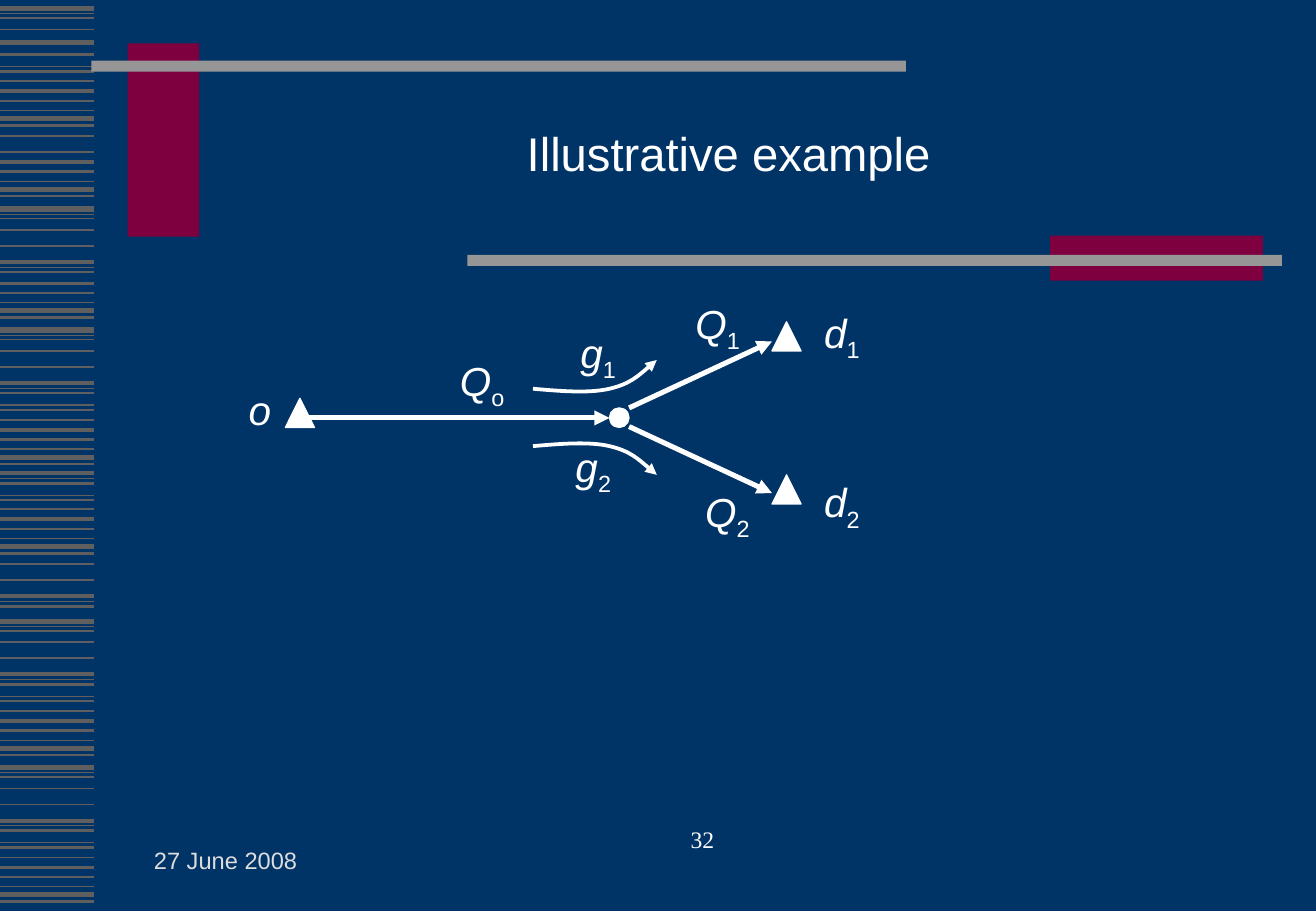
"""Builds the slide 'Illustrative example' with a small flow network."""
from lxml import etree
from pptx import Presentation
from pptx import util as u
from pptx.dml.color import RGBColor
from pptx.enum import shapes, text
from pptx.oxml.ns import qn

NAVY = RGBColor(0x00, 0x33, 0x66)
WINE = RGBColor(0x7E, 0x00, 0x3F)
GREY = RGBColor(0x96, 0x96, 0x96)
DARK = RGBColor(0x5F, 0x5F, 0x5F)
PALE = RGBColor(0xDD, 0xDD, 0xDD)
WHITE = RGBColor(0xFF, 0xFF, 0xFF)
KIND = shapes.MSO_SHAPE
ALIGN = text.PP_ALIGN
ANCHOR = text.MSO_ANCHOR

deck = Presentation()
deck.slide_width, deck.slide_height = u.Cm(27.53), u.Cm(19.05)
slide = deck.slides.add_slide(deck.slide_layouts[6])
slide.background.fill.solid()
slide.background.fill.fore_color.rgb = NAVY


def add_line(ends, color, weight):
    """Draw a straight line without shadow."""
    line = slide.shapes.add_connector(
        shapes.MSO_CONNECTOR.STRAIGHT, *[u.Cm(v) for v in ends])
    line.line.color.rgb = color
    line.line.width = u.Pt(weight)
    etree.SubElement(line._element.spPr, qn("a:effectLst"))
    return line


def add_text(box, runs, frame, para, font, color=WHITE):
    """Write runs of (words, extra font values, baseline) in a text box."""
    area = slide.shapes.add_textbox(*[u.Cm(v) for v in box]).text_frame
    area.word_wrap = True
    first = area.paragraphs[0]
    for item, values in ((area, frame), (first, para)):
        for key, value in values.items():
            setattr(item, key, value)
    for words, extra, base in runs:
        run = first.add_run()
        run.text = words
        for key, value in {"name": "Arial", **font, **extra}.items():
            setattr(run.font, key, value)
        run.font.color.rgb = color
        if base:
            run._r.get_or_add_rPr().set("baseline", str(base))


SHORT = [(0, 1), (0.21, 2.25), (0.41, 1.5), (0.61, 0.75), (0.78, 3), (0.92, 1.5)]
LONG = [(0, 3), (0.11, 0.75), (0.2, 1), (0.44, 1), (0.77, 1), (1.11, 2.25),
        (1.22, 0.75), (1.32, 1.5), (1.57, 0.75), (1.67, 1.5)]
bands = [(top, SHORT) for top in (1.7, 3.18, 8.78, 10.65, 14.87, 17.93)]
bands += [(top, LONG) for top in (6.9, 12.99, 16.05)]
bands += [(2.84, SHORT[:1]), (5.72, SHORT[1:]), (0.18, LONG[:4]), (0.89, LONG[:1]),
          (-0.18, LONG[7:]), (4.37, LONG[:8]), (8.79, LONG[5:]), (11.36, LONG[3:8])]
for top, band in bands:
    for step, weight in band:
        add_line((0, top + step, 1.96, top + step), DARK, weight)

arrows = [add_line(ends, WHITE, 3) for ends in (
    (6.35, 8.74, 12.75, 8.74),
    (13.16, 8.53, 16.15, 7.14),
    (13.16, 8.92, 16.15, 10.31))]

for kind, box, color in (
        (KIND.RECTANGLE, (2.67, 0.91, 1.5, 4.04), WINE),
        (KIND.RECTANGLE, (1.91, 1.27, 17.04, 0.23), GREY),
        (KIND.RECTANGLE, (21.97, 4.93, 4.45, 0.94), WINE),
        (KIND.RECTANGLE, (9.78, 5.33, 17.04, 0.23), GREY),
        (KIND.ISOSCELES_TRIANGLE, (5.97, 8.33, 0.61, 0.61), WHITE),
        (KIND.ISOSCELES_TRIANGLE, (16.15, 6.73, 0.61, 0.61), WHITE),
        (KIND.ISOSCELES_TRIANGLE, (16.15, 9.93, 0.61, 0.61), WHITE),
        (KIND.OVAL, (12.75, 8.53, 0.41, 0.41), WHITE)):
    shape = slide.shapes.add_shape(kind, *[u.Cm(v) for v in box])
    shape.shadow.inherit = False
    shape.fill.solid()
    shape.fill.fore_color.rgb = color
    if color == WHITE:
        shape.line.color.rgb = WHITE
        shape.line.width = u.Pt(0.75)
    else:
        shape.line.fill.background()

AXIS = 8.73
BEND = [(11.15, 0.6), (11.73, 0.55), (12.32, 0.5), (12.75, 0.6),
        (13.18, 0.7), (13.46, 0.96), (13.74, 1.2)]
for side in (-1, 1):
    dots = [(u.Cm(x), u.Cm(AXIS + side * rise)) for x, rise in BEND]
    pen = slide.shapes.build_freeform(*dots[0])
    pen.add_line_segments(dots[1:], close=False)
    curve = pen.convert_to_shape()
    curve.shadow.inherit = False
    curve.fill.background()
    curve.line.color.rgb = WHITE
    curve.line.width = u.Pt(2.25)
    route = curve._element.xpath(".//a:path")[0]
    steps = route.findall(qn("a:lnTo"))
    for start in (0, 3):
        arc = etree.SubElement(route, qn("a:cubicBezTo"))
        for step in steps[start:start + 3]:
            arc.append(step[0])
            route.remove(step)
    arrows.append(curve)

for arrow in arrows:
    edge = arrow._element.xpath(".//a:ln")[0]
    etree.SubElement(edge, qn("a:tailEnd"), type="triangle")

add_text((4.14, 1.7, 22.2, 3.18), [("Illustrative example", {}, 0)],
         {"vertical_anchor": ANCHOR.MIDDLE},
         {"alignment": ALIGN.CENTER, "line_spacing": 0.85}, {"size": u.Pt(28)})
add_text((8.76, 17.12, 6.43, 1.32), [("32", {}, 0)], {},
         {"alignment": ALIGN.RIGHT}, {"size": u.Pt(14), "name": "Times New Roman"})
add_text((2.97, 17.13, 8.89, 1.27), [("27 June 2008", {}, 0)],
         {"vertical_anchor": ANCHOR.BOTTOM}, {}, {"size": u.Pt(14)}, PALE)

for left, top, width, name, sub in (
        (4.95, 7.92, 1.2, "o", ""),
        (16.99, 6.32, 1.6, "d", "1"),
        (16.99, 9.86, 1.6, "d", "2"),
        (9.37, 7.32, 1.8, "Q", "o"),
        (14.3, 6.12, 1.8, "Q", "1"),
        (14.5, 10.06, 1.8, "Q", "2"),
        (11.89, 6.73, 1.6, "g", "1"),
        (11.79, 9.12, 1.6, "g", "2")):
    runs = [(name, {"italic": True}, 0)]
    if sub:
        runs.append((sub, {"italic": False}, -25000))
    add_text((left, top, width, 1.42 if sub else 1.27), runs, {}, {},
             {"size": u.Pt(24)})

deck.save("out.pptx")
